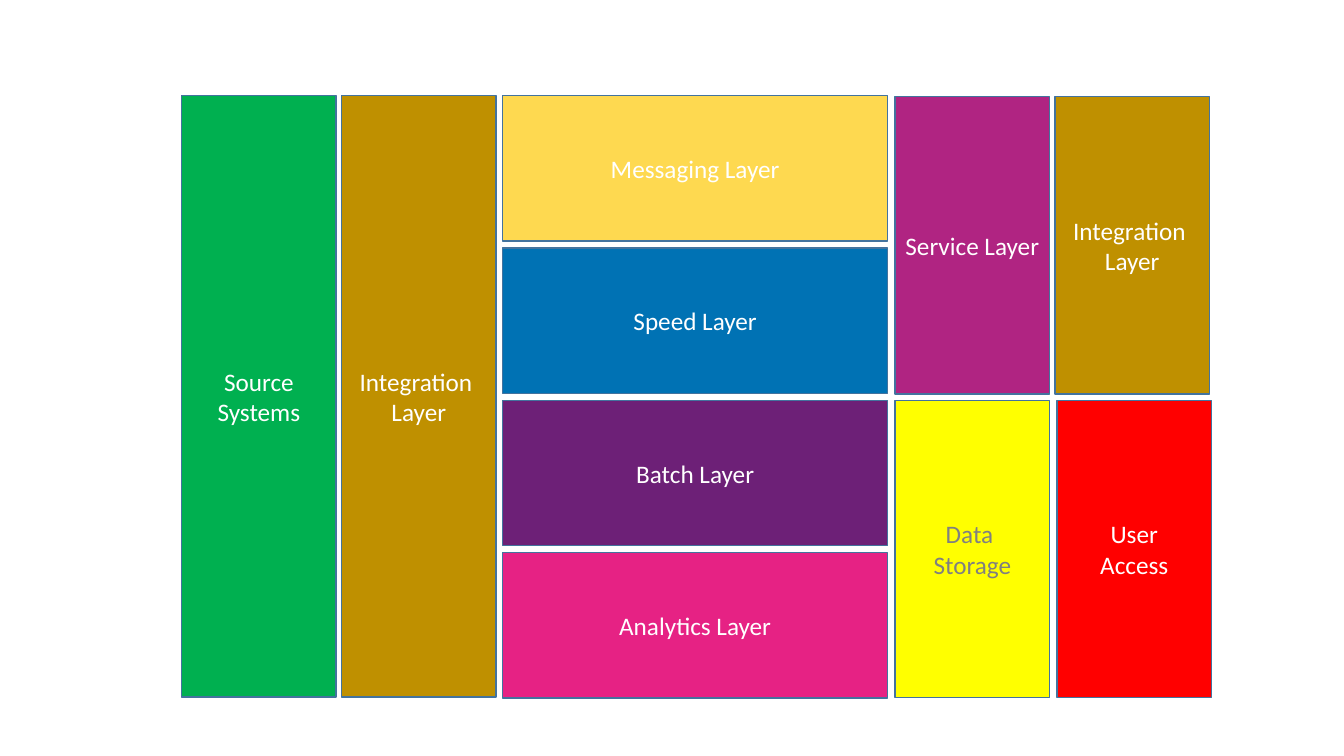
from pptx import Presentation
from pptx.dml.color import RGBColor
from pptx.enum.shapes import MSO_SHAPE as Shape
from pptx.enum.text import MSO_ANCHOR as Anchor, PP_ALIGN as Align
from pptx.util import Cm, Pt

WHITE, GREY, EDGE, GOLD = "FFFFFF", "808080", "43739E", "BF9000"
SLIM, WIDE = 3.89, 9.7  # column widths in cm
HALF, FULL = 7.49, 15.16  # column heights in cm


def tint(code):
    return RGBColor.from_string(code)


def block(slide, text, box, fill, ink=WHITE):
    """Draw one labelled rectangle; each line of text is a paragraph."""
    rect = slide.shapes.add_shape(Shape.RECTANGLE, *map(Cm, box))
    rect.shadow.inherit = False
    rect.fill.solid()
    rect.fill.fore_color.rgb = tint(fill)
    rect.line.color.rgb = tint(EDGE)
    rect.line.width = Pt(1)
    frame = rect.text_frame
    frame.word_wrap = True
    frame.vertical_anchor = Anchor.MIDDLE
    frame.text = text
    for para in frame.paragraphs:
        para.alignment = Align.CENTER
        para.font.name = "Calibri"
        para.font.size = Pt(18)
        para.font.color.rgb = tint(ink)


def inputs(slide, left, top):
    """Tall columns on the left."""
    block(slide, "Source Systems", (left, top, SLIM, FULL), "00B050")
    block(slide, "Integration \nLayer", (left + 4.03, top, SLIM, FULL), GOLD)


def layers(slide, left, top):
    """Stack of four processing layers."""
    rows = [
        ("Messaging", "FED950"),
        ("Speed", "0072B4"),
        ("Batch", "6D2077"),
        ("Analytics", "E62284"),
    ]
    for i, (name, fill) in enumerate(rows):
        box = (left, top + i * 3.84, WIDE, 3.66)
        block(slide, f"{name} Layer", box, fill)


def outputs(slide, left, top):
    """Two by two blocks on the right."""
    low = top + 7.65
    block(slide, "Service Layer", (left, top, SLIM, HALF), "B02482")
    block(slide, "Integration \nLayer", (left + 4.03, top, SLIM, HALF), GOLD)
    block(slide, "Data \nStorage", (left, low, SLIM, HALF), "FFFF00", GREY)
    block(slide, "User\nAccess", (left + 4.08, low, SLIM, HALF), "FF0000")


def main():
    deck = Presentation()
    deck.slide_width, deck.slide_height = Cm(33.87), Cm(19.05)
    slide = deck.slides.add_slide(deck.slide_layouts[6])
    inputs(slide, 4.58, 2.41)
    layers(slide, 12.67, 2.41)
    outputs(slide, 22.56, 2.44)
    deck.save("out.pptx")


if __name__ == "__main__":
    main()
